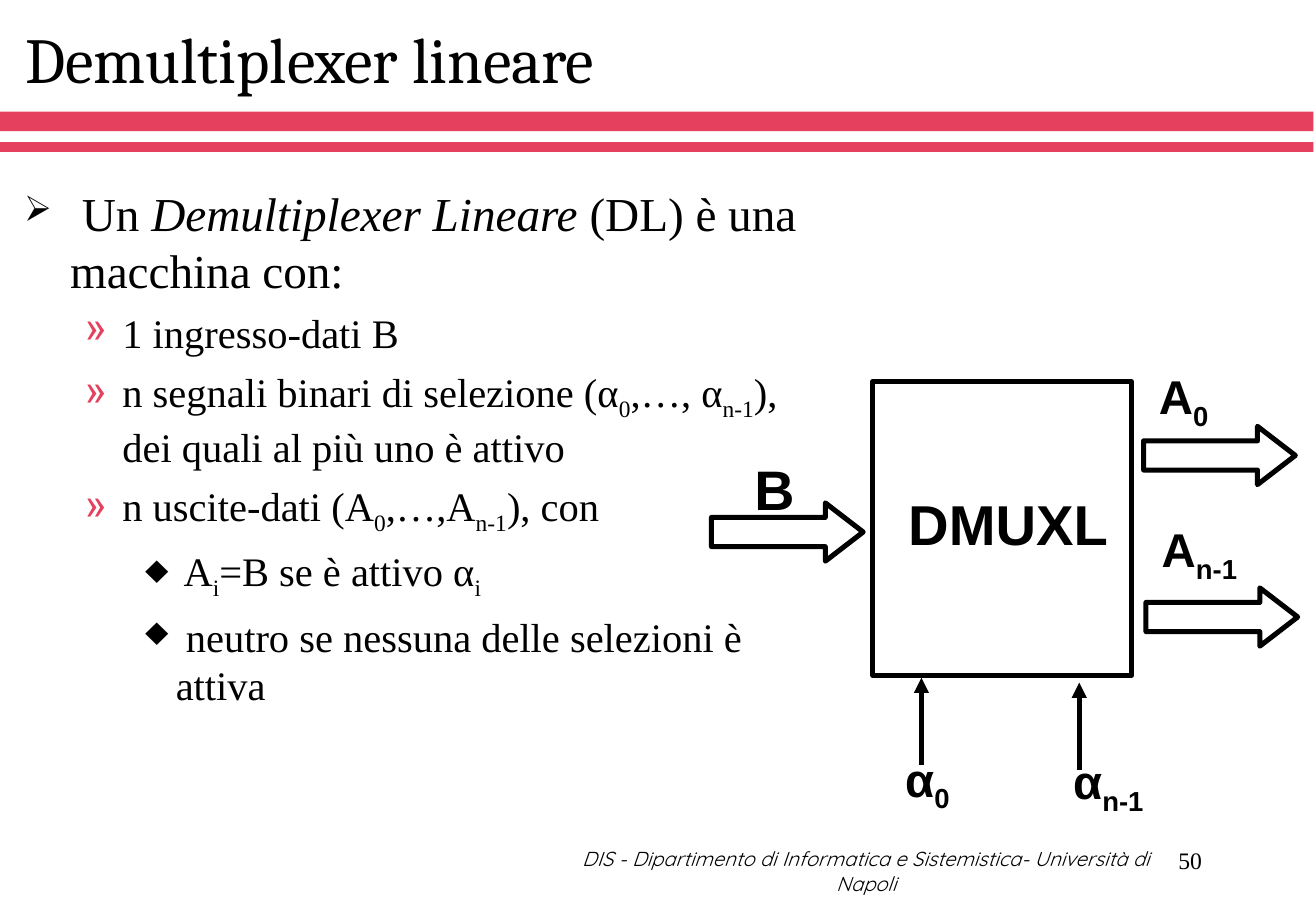
"""Build the slide on the linear demultiplexer: definition, block diagram and footer."""
from dataclasses import dataclass

from lxml.etree import SubElement
from pptx import Presentation
from pptx.dml.color import RGBColor
from pptx.enum.shapes import MSO_CONNECTOR, MSO_SHAPE
from pptx.enum.text import MSO_ANCHOR, PP_ALIGN
from pptx.oxml.ns import qn
from pptx.util import Inches, Pt


@dataclass(frozen=True)
class Theme:
    black: str = "000000"
    white: str = "FFFFFF"
    accent: str = "E5405D"
    title: tuple = ("Cambria", 38)
    lead: tuple = ("Times New Roman", 28)
    item: tuple = ("Times New Roman", 24)
    port: tuple = ("Arial", 28.1)
    block: tuple = ("Arial", 33.3)
    data: tuple = ("Arial", 33)
    footer: tuple = ("Quicksand", 12)
    number: tuple = ("Times New Roman", 14)
    stroke: float = 3


THEME = Theme()
WIDTH, HEIGHT = Inches(10.84), Inches(7.5)
MARK = "|"

TITLE = "Demultiplexer lineare"
FOOTER = "DIS - Dipartimento di Informatica e Sistemistica- Università di Napoli"
PAGE_NUMBER = "50"

LEVELS = {
    0: dict(bullet="➢", color=THEME.black, scale=75, left=0.38, hang=0.38,
            font=THEME.lead, marked="italic"),
    1: dict(bullet="»", color=THEME.accent, scale=100, left=0.81, hang=0.31,
            font=THEME.item, marked="subscript"),
    2: dict(bullet="♦", color=THEME.black, scale=100, left=1.25, hang=0.25,
            font=THEME.item, marked="subscript"),
}
DEFINITION = [
    (0, " Un |Demultiplexer Lineare| (DL) è una macchina con:"),
    (1, "1 ingresso-dati B"),
    (1, "n segnali binari di selezione (α|0|,…, α|n-1|), dei quali al più uno è attivo"),
    (1, "n uscite-dati (A|0|,…,A|n-1|), con"),
    (2, " A|i|=B se è attivo α|i|"),
    (2, " neutro se nessuna delle selezioni è attiva"),
]

BANDS = [(0, 12.27, 99.8, 2.13), (0, 15.6, 99.8, 1.07)]
TITLE_AREA = (1.01, 4.67, 87.55, 6.53)
BODY_AREA = (0.92, 19.6, 60.7, 75.6)
FOOTER_AREA = (41.51, 93.6, 48.62, 4)
NUMBER_AREA = (71.49, 91.07, 20.76, 6.67)
BLOCK_AREA = (66.33, 41.87, 19.65, 32.27)
ARROW_SIZE = (11.53, 6.4)
LABEL_SIZE = (9.59, 9.07)
DATA_ARROWS = [(87.08, 64.53), (86.9, 46.8), (54.06, 55.2)]
SELECTION_LINES = [(70.02, 74.4), (82.01, 74.93)]
SELECTION_LENGTH = 9.6
LABELS = [
    ("A|n-1|", (86.35, 56.53) + LABEL_SIZE, THEME.port, 0.9),
    ("DMUXL", (67.34, 53.87, 18.54, 9.07), THEME.block, 0.9),
    ("A|0|", (85.15, 39.73) + LABEL_SIZE, THEME.port, 0.9),
    ("B", (54.06, 49.33) + LABEL_SIZE, THEME.data, 1.0),
    ("α|0|", (65.68, 81.73) + LABEL_SIZE, THEME.port, 0.9),
    ("α|n-1|", (79.43, 82) + LABEL_SIZE, THEME.port, 0.9),
]


def place(*percents):
    """Turn alternating horizontal and vertical percentages into slide lengths."""
    return [round(share / 100 * (HEIGHT if index % 2 else WIDTH))
            for index, share in enumerate(percents)]


def apply(target, values):
    for name, value in values.items():
        setattr(target, name, value)


def write(paragraph, text, font, marked="subscript", **style):
    family, size = font
    for index, piece in enumerate(text.split(MARK)):
        if not piece:
            continue
        run = paragraph.add_run()
        run.text = piece
        apply(run.font, dict(name=family, size=Pt(size), **style))
        run.font.color.rgb = RGBColor.from_string(THEME.black)
        if index % 2 and marked == "italic":
            run.font.italic = True
        elif index % 2:
            run.font._element.set("baseline", "-25000")


def add_text_box(slide, area, anchor=MSO_ANCHOR.TOP, side=0.1):
    frame = slide.shapes.add_textbox(*place(*area)).text_frame
    apply(frame, dict(word_wrap=True, vertical_anchor=anchor,
                      margin_left=Inches(side), margin_right=Inches(side),
                      margin_top=Inches(0.05), margin_bottom=Inches(0.05)))
    return frame


def add_line_of_text(slide, area, text, font, align, anchor=MSO_ANCHOR.MIDDLE,
                     side=0.1, spacing=1.0, **style):
    paragraph = add_text_box(slide, area, anchor, side).paragraphs[0]
    apply(paragraph, dict(alignment=align, line_spacing=spacing))
    write(paragraph, text, font, **style)


def add_shape(slide, kind, area, fill, outlined=True):
    shape = slide.shapes.add_shape(kind, *place(*area))
    shape.shadow.inherit = False
    shape.fill.solid()
    shape.fill.fore_color.rgb = RGBColor.from_string(fill)
    if outlined:
        shape.line.color.rgb = RGBColor.from_string(THEME.black)
        shape.line.width = Pt(THEME.stroke)
    else:
        shape.line.fill.background()
    return shape


def add_selection_line(slide, left, top):
    connector = slide.shapes.add_connector(
        MSO_CONNECTOR.STRAIGHT, *place(left, top, left, top + SELECTION_LENGTH))
    connector.line.color.rgb = RGBColor.from_string(THEME.black)
    connector.line.width = Pt(THEME.stroke)
    SubElement(connector.line._get_or_add_ln(), qn("a:headEnd"), type="triangle")
    SubElement(connector._element.spPr, qn("a:effectLst"))


def add_bullet(paragraph, level):
    properties = paragraph._p.get_or_add_pPr()
    properties.set("marL", str(Inches(level["left"])))
    properties.set("indent", str(-Inches(level["hang"])))
    color = SubElement(properties, qn("a:buClr"))
    SubElement(color, qn("a:srgbClr"), val=level["color"])
    SubElement(properties, qn("a:buSzPct"), val=str(level["scale"] * 1000))
    SubElement(properties, qn("a:buChar"), char=level["bullet"])


def add_definition(slide):
    frame = add_text_box(slide, BODY_AREA)
    for index, (depth, text) in enumerate(DEFINITION):
        paragraph = frame.add_paragraph() if index else frame.paragraphs[0]
        level = LEVELS[depth]
        add_bullet(paragraph, level)
        apply(paragraph, dict(level=depth, space_before=Pt(6 if index else 0)))
        write(paragraph, text, level["font"], level["marked"])


def add_diagram(slide):
    add_shape(slide, MSO_SHAPE.RECTANGLE, BLOCK_AREA, THEME.white)
    for corner in DATA_ARROWS:
        arrow = add_shape(slide, MSO_SHAPE.RIGHT_ARROW, corner + ARROW_SIZE, THEME.white)
        arrow.adjustments[1] = 0.65
    for start in SELECTION_LINES:
        add_selection_line(slide, *start)
    for text, area, font, spacing in LABELS:
        add_line_of_text(slide, area, text, font, PP_ALIGN.CENTER, MSO_ANCHOR.TOP,
                         side=0, spacing=spacing, bold=True)


def main():
    presentation = Presentation()
    apply(presentation, dict(slide_width=WIDTH, slide_height=HEIGHT))
    slide = presentation.slides.add_slide(presentation.slide_layouts[6])
    for band in BANDS:
        add_shape(slide, MSO_SHAPE.RECTANGLE, band, THEME.accent, outlined=False)
    add_line_of_text(slide, FOOTER_AREA, FOOTER, THEME.footer, PP_ALIGN.CENTER, italic=True)
    add_line_of_text(slide, TITLE_AREA, TITLE, THEME.title, PP_ALIGN.LEFT, MSO_ANCHOR.BOTTOM)
    add_definition(slide)
    add_diagram(slide)
    add_line_of_text(slide, NUMBER_AREA, PAGE_NUMBER, THEME.number, PP_ALIGN.RIGHT)
    presentation.save("out.pptx")


if __name__ == "__main__":
    main()
